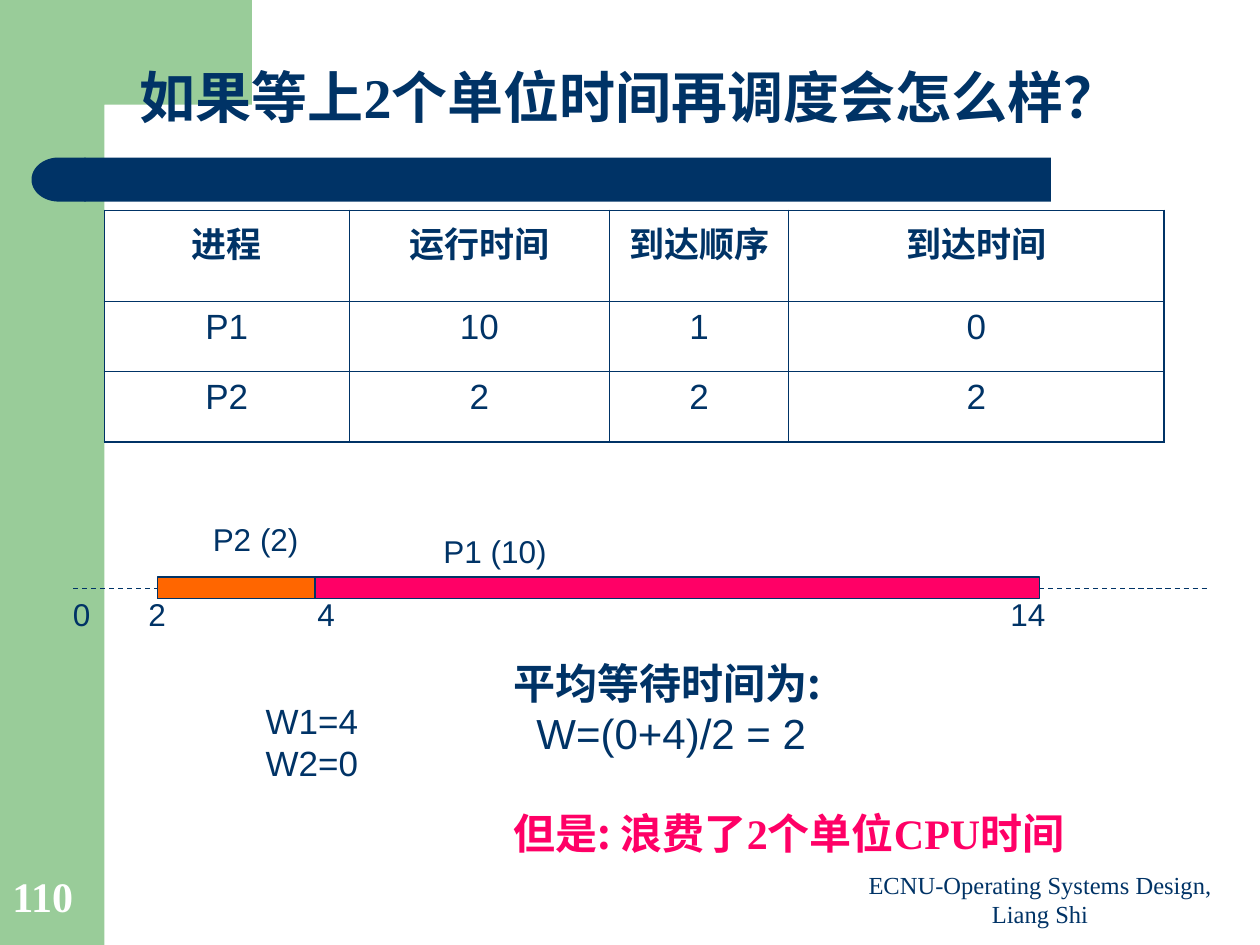
from lxml import etree
from pptx import Presentation
from pptx.dml.color import RGBColor
from pptx.enum.dml import MSO_LINE
from pptx.enum.shapes import MSO_CONNECTOR, MSO_SHAPE
from pptx.enum.text import MSO_ANCHOR, PP_ALIGN
from pptx.oxml.ns import qn
from pptx.util import Inches, Pt

RECT, DELAY = MSO_SHAPE.RECTANGLE, MSO_SHAPE.FLOWCHART_DELAY
STRAIGHT, DASH = MSO_CONNECTOR.STRAIGHT, MSO_LINE.DASH
LEFT, CENTER = PP_ALIGN.LEFT, PP_ALIGN.CENTER
TOP, BOTTOM = MSO_ANCHOR.TOP, MSO_ANCHOR.BOTTOM

COLORS = {"navy": "003366", "green": "99CC99", "pink": "FF0066",
          "orange": "FF6600", "white": "FFFFFF"}
SANS, SERIF, CJK = "Arial", "Times New Roman", "Noto Sans CJK SC"

# Timeline: horizontal place of each marked time
TIME_X = {2: 1.25, 4: 2.5, 14: 8.25}
BAR_TOP, BAR_HEIGHT = 4.58, 0.17
AXIS_Y = 4.67

PROCESSES = [["进程", "运行时间", "到达顺序", "到达时间"],
             ["P1", "10", "1", "0"],
             ["P2", "2", "2", "2"]]
COLUMN_WIDTHS = [1.94, 2.07, 1.42, 2.98]
ROW_HEIGHTS = [0.72, 0.56, 0.56]
THICK, THIN = 1.08, 0.45


def rgb(color):
    return RGBColor.from_string(COLORS[color])


def inches(*lengths):
    return [Inches(length) for length in lengths]


def style_run(run, size, font=SANS, color="navy", bold=False):
    run.font.size = Pt(size)
    run.font.bold = bold
    run.font.color.rgb = rgb(color)
    run.font.name = font
    east_asian = etree.Element(qn("a:ea"), typeface=CJK)
    run.font._element.find(qn("a:latin")).addnext(east_asian)


def add_runs(paragraph, pieces, size, color="navy", bold=True):
    """Fill a paragraph with (text, font) pieces."""
    for text, font in pieces:
        run = paragraph.add_run()
        run.text = text
        style_run(run, size, font, color, bold)


def add_box(slide, place, wrap=True, anchor=TOP):
    frame = slide.shapes.add_textbox(*inches(*place)).text_frame
    frame.word_wrap = wrap
    frame.vertical_anchor = anchor
    return frame


def add_label(slide, text, place, size, align=LEFT, wrap=True, anchor=TOP, **style):
    frame = add_box(slide, place, wrap, anchor)
    frame.text = text
    for paragraph in frame.paragraphs:
        paragraph.alignment = align
        for run in paragraph.runs:
            style_run(run, size, **style)
    return frame


def paint(shape, fill, outlined=False):
    shape.shadow.inherit = False
    shape.fill.solid()
    shape.fill.fore_color.rgb = rgb(fill)
    if outlined:
        shape.line.color.rgb = rgb("navy")
        shape.line.width = Pt(0.75)
    else:
        shape.line.fill.background()


def add_block(slide, place, fill, kind=RECT, outlined=False):
    block = slide.shapes.add_shape(kind, *inches(*place))
    paint(block, fill, outlined)
    return block


def add_line(slide, start, end, dashed=False):
    line = slide.shapes.add_connector(STRAIGHT, *inches(*start, *end))
    line.line.color.rgb = rgb("navy")
    line.line.width = Pt(0.75)
    if dashed:
        line.line.dash_style = DASH
    etree.SubElement(line._element.spPr, qn("a:effectLst"))


def add_decoration(slide):
    add_block(slide, (0, 0, 0.83, 7.5), "green")
    builder = slide.shapes.build_freeform(Inches(0.5), 0)
    corner = [(2, 0), (2, 0.83), (0.83, 0.83), (0.73, 0.89),
              (0.67, 1.04), (0.67, 1.28), (0.5, 1.28)]
    builder.add_line_segments([inches(*point) for point in corner], close=True)
    paint(builder.convert_to_shape(), "green")
    add_block(slide, (0.67, 1.25, 7.67, 0.35), "navy")
    bar_end = add_block(slide, (0.25, 1.25, 0.43, 0.35), "navy", DELAY)
    bar_end.rotation = 180


def add_title(slide):
    title = slide.shapes.title
    title.left, title.top, title.width, title.height = inches(0.04, 0.46, 9.92, 0.58)
    frame = title.text_frame
    frame.margin_left = frame.margin_right = frame.margin_top = frame.margin_bottom = 0
    frame.vertical_anchor = BOTTOM
    paragraph = frame.paragraphs[0]
    paragraph.alignment = CENTER
    paragraph.line_spacing = 0.9
    add_runs(paragraph, [("如果等上", CJK), ("2", SERIF),
                         ("个单位时间再调度会怎么样？", CJK)], 32)
    # Bring the title in front of the decoration
    title._element.getparent().append(title._element)


def set_borders(cell, widths):
    properties = cell._tc.get_or_add_tcPr()
    for index, (side, width) in enumerate(widths.items()):
        border = etree.Element(qn("a:" + side), w=str(Pt(width)))
        fill = etree.SubElement(border, qn("a:solidFill"))
        etree.SubElement(fill, qn("a:srgbClr"), val=COLORS["navy"])
        properties.insert(index, border)


def add_process_table(slide):
    rows, columns = len(ROW_HEIGHTS), len(COLUMN_WIDTHS)
    place = inches(0.83, 1.67, sum(COLUMN_WIDTHS), sum(ROW_HEIGHTS))
    table = slide.shapes.add_table(rows, columns, *place).table
    for column, width in zip(table.columns, COLUMN_WIDTHS):
        column.width = Inches(width)
    for r, height in enumerate(ROW_HEIGHTS):
        table.rows[r].height = Inches(height)
        for c in range(columns):
            cell = table.cell(r, c)
            cell.text = PROCESSES[r][c]
            cell.fill.background()
            paragraph = cell.text_frame.paragraphs[0]
            paragraph.alignment = CENTER
            style_run(paragraph.runs[0], 20, bold=r == 0)
            outer = {"lnL": c == 0, "lnR": c == columns - 1,
                     "lnT": r == 0, "lnB": r == rows - 1}
            set_borders(cell, {side: THICK if edge else THIN
                               for side, edge in outer.items()})


def add_timeline(slide):
    add_line(slide, (0.58, AXIS_Y), (9.58, AXIS_Y), dashed=True)
    for start, end, color in [(4, 14, "pink"), (2, 4, "orange")]:
        left = TIME_X[start]
        add_block(slide, (left, BAR_TOP, TIME_X[end] - left, BAR_HEIGHT),
                  color, outlined=True)
    add_line(slide, (TIME_X[2], BAR_TOP), (TIME_X[2], BAR_TOP + BAR_HEIGHT))
    for time, left, width in [("0", 0.48, 0.34), ("2", 1.08, 0.5),
                              ("4", 2.42, 0.34), ("14", 7.92, 0.48)]:
        add_label(slide, time, (left, AXIS_Y, width, 0.4), 18, wrap=False)
    add_label(slide, "P1 (10)", (3.42, 4.17, 1.02, 0.4), 18, wrap=False)
    add_label(slide, "P2 (2)", (1.59, 4.08, 0.88, 0.4), 18, wrap=False)


def add_conclusion(slide):
    add_label(slide, "W1=4\nW2=0", (2.01, 5.5, 1.47, 0.77), 20)
    frame = add_box(slide, (3.98, 5.17, 5.26, 1.7), wrap=False)
    heading = frame.paragraphs[0]
    add_runs(heading, [("平均等待时间为:", CJK)], 24)
    formula = frame.add_paragraph()
    formula._p.get_or_add_pPr().set("marL", str(Inches(0.18)))
    add_runs(formula, [("W=(0+4)/2 = 2", SANS)], 24, bold=False)
    drawback = frame.add_paragraph()
    drawback.space_before = Pt(28)
    add_runs(drawback, [("但是: 浪费了", CJK), ("2", SERIF), ("个单位", CJK),
                        ("CPU", SERIF), ("时间", CJK)], 24, "pink")


def add_footer(slide):
    add_label(slide, "ECNU-Operating Systems Design, Liang Shi",
              (6.67, 6.9, 3.17, 0.52), 14, CENTER, anchor=BOTTOM, font=SERIF)
    number = add_label(slide, "110", (0, 6.83, 0.82, 0.53), 24, anchor=BOTTOM,
                       font=SERIF, color="white", bold=True)
    number.paragraphs[0].line_spacing = 0.9


def main():
    deck = Presentation()
    deck.slide_width, deck.slide_height = inches(10, 7.5)
    slide = deck.slides.add_slide(deck.slide_layouts[5])
    add_decoration(slide)
    add_title(slide)
    add_process_table(slide)
    add_timeline(slide)
    add_conclusion(slide)
    add_footer(slide)
    deck.save("out.pptx")


if __name__ == "__main__":
    main()
